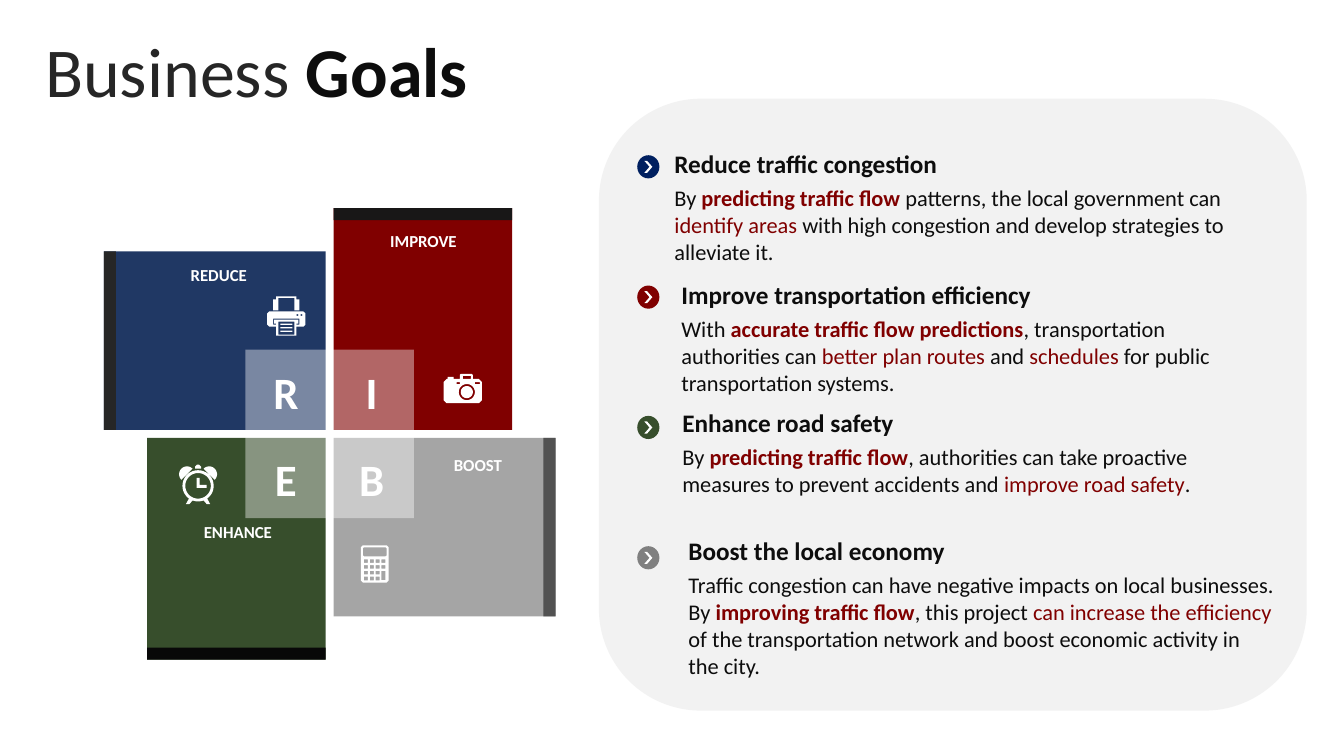
from math import cos, radians, sin

from pptx import Presentation, util as u
from pptx.dml.color import RGBColor
from pptx.enum import shapes, text
from pptx.oxml.ns import qn
from lxml import etree

# Theme: colours and type sizes
THEME = dict(
    font="Calibri", white="FFFFFF", panel="F2F2F2", ink="0D0D0D", soft="262626", accent="800000",
    title=50, letter=32, label=12, head=18, body=16,
)

# Content
TITLE = [("Business ", "soft", False), ("Goals", "ink", True)]
STYLES = {"plain": ("ink", False), "key": ("accent", True), "red": ("accent", False)}

# letter, label, label centre and top, column, row, lies flat, card colour, end colour
CARDS = [
    ("R", "REDUCE", 2.17, 2.58, 0, 0, True, "203864", "262626"),
    ("I", "IMPROVE", 4.2, 2.24, 1, 0, False, "800000", "181717"),
    ("E", "ENHANCE", 2.36, 5.13, 0, 1, False, "374E2C", "080808"),
    ("B", "BOOST", 4.74, 4.46, 1, 1, True, "A5A5A5", "525252"),
]

# heading, left, top, bullet colour, body runs
GOALS = [
    ("Reduce traffic congestion", 6.59, 1.42, "002060", [
        ("By ", "plain"), ("predicting traffic flow ", "key"),
        ("patterns, the local government can ", "plain"), ("identify areas ", "red"),
        ("with high congestion and develop strategies to alleviate it.", "plain")]),
    ("Improve transportation efficiency", 6.66, 2.72, "800000", [
        ("With ", "plain"), ("accurate traffic flow predictions", "key"),
        (", transportation authorities can ", "plain"), ("better plan routes ", "red"),
        ("and ", "plain"), ("schedules", "red"),
        (" for public transportation systems.", "plain")]),
    ("Enhance road safety", 6.67, 3.99, "374E2C", [
        ("By ", "plain"), ("predicting traffic flow", "key"),
        (", authorities can take proactive measures to prevent accidents and ", "plain"),
        ("improve road safety", "red"), (".", "plain")]),
    ("Boost the local economy", 6.73, 5.26, "808080", [
        ("Traffic congestion can have negative impacts on local businesses. By ", "plain"),
        ("improving traffic flow", "key"), (", this project ", "plain"),
        ("can increase the efficiency ", "red"),
        ("of the transportation network and boost economic activity in the city.", "plain")]),
]


# Icon outlines, in hundredths of an inch
def box(x, y, w, h):
    return [(x, y), (x + w, y), (x + w, y + h), (x, y + h)]


def arc(x, y, r, start=0, end=360):
    return [(x + r * cos(radians(a)), y + r * sin(radians(a))) for a in range(start, end + 1, 10)]


def bevel(x, y, w, h, c):
    return [(x + c, y), (x + w - c, y), (x + w, y + c), (x + w, y + h - c),
            (x + w - c, y + h), (x + c, y + h), (x, y + h - c), (x, y + c)]


def flip(points, width):
    return [(width - x, y) for x, y in points]


FOOT = [(10.5, 33.5), (7.5, 39), (11, 39), (14, 35.5)]
EAR = arc(8.5, 9.5, 7.8, 135, 315)
CLOCK = [
    arc(19.5, 21, 15.5), arc(19.5, 21, 12.7), EAR, flip(EAR, 39), FOOT, flip(FOOT, 39),
    [(18, 13), (21, 13), (21, 20), (28, 20), (28, 23), (18, 23)],
    [(16.5, 4), (16.5, 2), (18.5, 0), (20.5, 0), (22.5, 2), (22.5, 4)],
]
KEYS = [(c, r) for r in range(4) for c in range(4) if (c, r) != (3, 3)]
CALC = [bevel(0, 0, 27.5, 37, 2), bevel(2, 2, 23.5, 9, 1)] + [
    box(3 + 5.75 * c, 14 + 5.75 * r, 4, 9.2 if (c, r) == (3, 2) else 3.5) for c, r in KEYS]
PRINTER = [
    [(2, 15), (36, 15), (38, 17), (38, 28), (36, 30), (29, 30), (29, 39), (9, 39),
     (9, 30), (2, 30), (0, 28), (0, 17)],
    [(6, 22), (32, 22), (32, 28), (29, 28), (29, 27), (31, 27), (31, 23), (7, 23),
     (7, 27), (9, 27), (9, 28), (6, 28)],
    box(11, 25, 16, 13), box(13, 27, 12, 1.3), box(13, 30.5, 12, 1.3), box(13, 34, 12, 1.3),
    arc(30, 18.5, 1), arc(34, 18.5, 1),
    [(9, 0), (29, 0), (29, 3), (32, 3), (32, 14), (27, 14), (27, 1.5), (11, 1.5),
     (11, 14), (6, 14), (6, 3), (9, 3)],
]
CAMERA = [
    [(17, 0), (28, 0), (29, 1), (29, 5), (35, 5), (38, 8), (38, 26), (35, 29), (3, 29),
     (0, 26), (0, 8), (3, 5), (4, 5), (4, 3), (10, 3), (10, 5), (16, 5), (16, 1)],
    arc(23, 18, 8), arc(23, 18, 6), box(13, 8, 3, 2), box(31, 8, 5, 2), box(19, 2, 8, 3),
]
ICONS = [(CLOCK, 1.77, 4.61), (CALC, 3.58, 5.41), (PRINTER, 2.65, 2.94), (CAMERA, 4.4, 3.71)]

deck = Presentation()
deck.slide_width, deck.slide_height = u.Inches(13.33), u.Inches(7.5)
slide = deck.slides.add_slide(deck.slide_layouts[6])
KIND = shapes.MSO_SHAPE


def paint(shape, color):
    shape.shadow.inherit = False
    shape.fill.solid()
    shape.fill.fore_color.rgb = RGBColor.from_string(color)
    shape.line.fill.background()
    return shape


def draw(kind, color, *place):
    return paint(slide.shapes.add_shape(kind, *map(u.Inches, place)), color)


def write(runs, size, *place, center=False, middle=False):
    frame = slide.shapes.add_textbox(*map(u.Inches, place)).text_frame
    frame.word_wrap = True
    if middle:
        frame.vertical_anchor = text.MSO_ANCHOR.MIDDLE
    para = frame.paragraphs[0]
    para.alignment = text.PP_ALIGN.CENTER if center else text.PP_ALIGN.LEFT
    for words, color, bold in runs:
        run = para.add_run()
        run.text = words
        run.font.name, run.font.size, run.font.bold = THEME["font"], u.Pt(THEME[size]), bold
        run.font.color.rgb = RGBColor.from_string(THEME[color])
    return para


def trace(rings, left, top):
    rings = [[(u.Inches(left + x / 100), u.Inches(top + y / 100)) for x, y in ring]
             for ring in rings]
    pen = slide.shapes.build_freeform(*rings[0][0], scale=1.0)
    for i, ring in enumerate(rings):
        if i:
            pen.move_to(*ring[0])
        pen.add_line_segments(ring[1:], close=True)
    paint(pen.convert_to_shape(), THEME["white"])


# Title
para = write(TITLE, "title", 0.35, 0.37, 12.66, 0.79, middle=True)
para.line_spacing, para.space_before = 0.8, u.Pt(10)

# Pinwheel of cards, each with a dark strip at its outer end
MIDX, MIDY, GAP = 3.27, 4.305, 0.04
LONG, SHORT, STRIP = 2.2, 1.77, 0.12
for _, _, _, _, col, row, flat, color, dark in CARDS:
    w, h = (LONG, SHORT) if flat else (SHORT, LONG)
    x = MIDX + GAP if col else MIDX - GAP - w
    y = MIDY + GAP if row else MIDY - GAP - h
    draw(KIND.RECTANGLE, color, x, y, w, h)
    if flat:
        draw(KIND.RECTANGLE, dark, x + col * (w - STRIP), y, STRIP, h)
    else:
        draw(KIND.RECTANGLE, dark, x, y + row * (h - STRIP), w, STRIP)

# Translucent hub
HUB = 1.67
hub = draw(KIND.RECTANGLE, THEME["white"], MIDX - HUB / 2, MIDY - HUB / 2, HUB, HUB)
tone = hub._element.spPr.find(qn("a:solidFill"))[0]
etree.SubElement(tone, qn("a:alpha")).set("val", "40000")

# Letters and labels
for letter, label, mid, top, col, row, *_ in CARDS:
    write([(letter, "white", True)], "letter", 2.54 + 0.85 * col, 3.57 + 0.86 * row,
          0.59, 0.64, center=True)
    write([(label, "white", True)], "label", mid - 0.8, top, 1.6, 0.3, center=True)

for icon in ICONS:
    trace(*icon)

# Goals panel
draw(KIND.ROUNDED_RECTANGLE, THEME["panel"], 5.94, 0.98, 7.02, 6.07)
for i, (head, left, top, color, body) in enumerate(GOALS):
    y = 1.54 + 1.293 * i
    draw(KIND.OVAL, color, 6.32, y, 0.22, 0.23)
    mark = draw(KIND.CHEVRON, THEME["white"], 6.39, y + 0.055, 0.08, 0.12)
    mark.adjustments[0] = 0.652
    write([(head, "ink", True)], "head", left, top, 6.02, 0.4, middle=True)
    write([(words, *STYLES[style]) for words, style in body], "body",
          left, top + 0.36, 6.02, 1.18 if i % 2 else 0.91)

deck.save("out.pptx")
